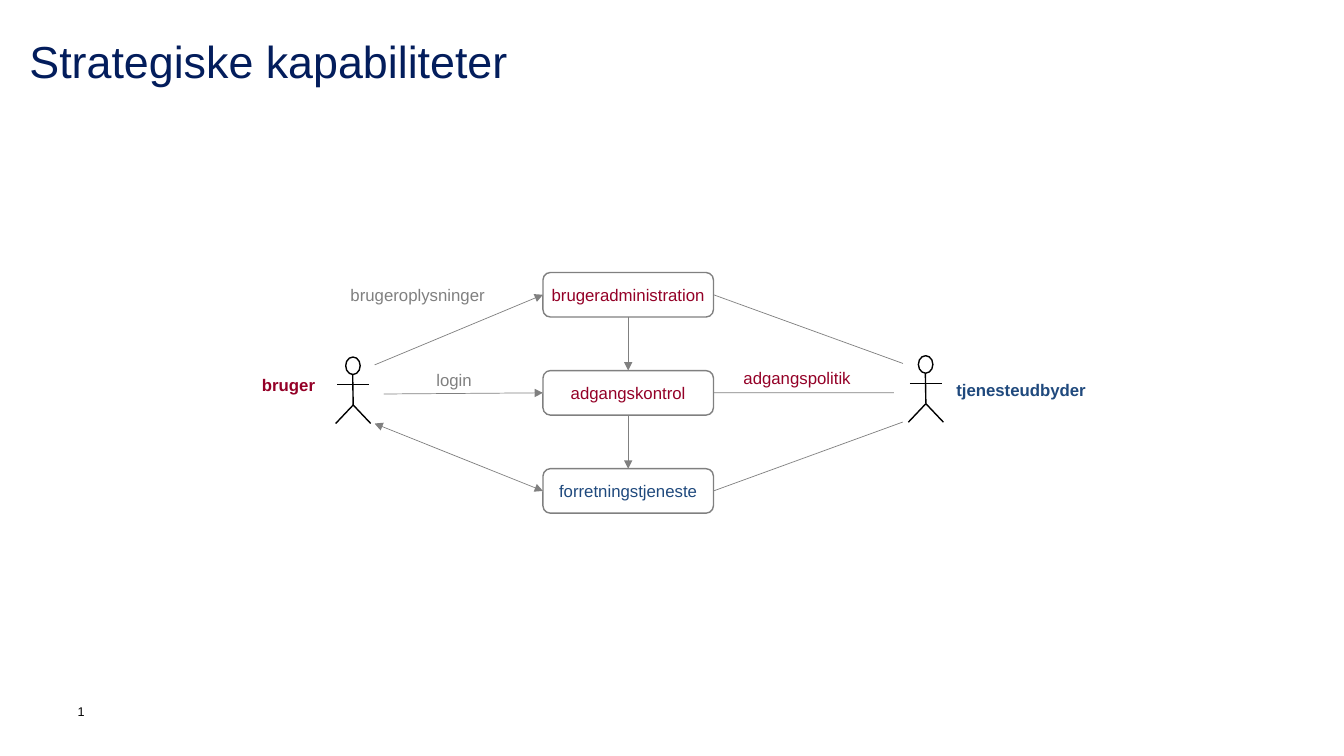
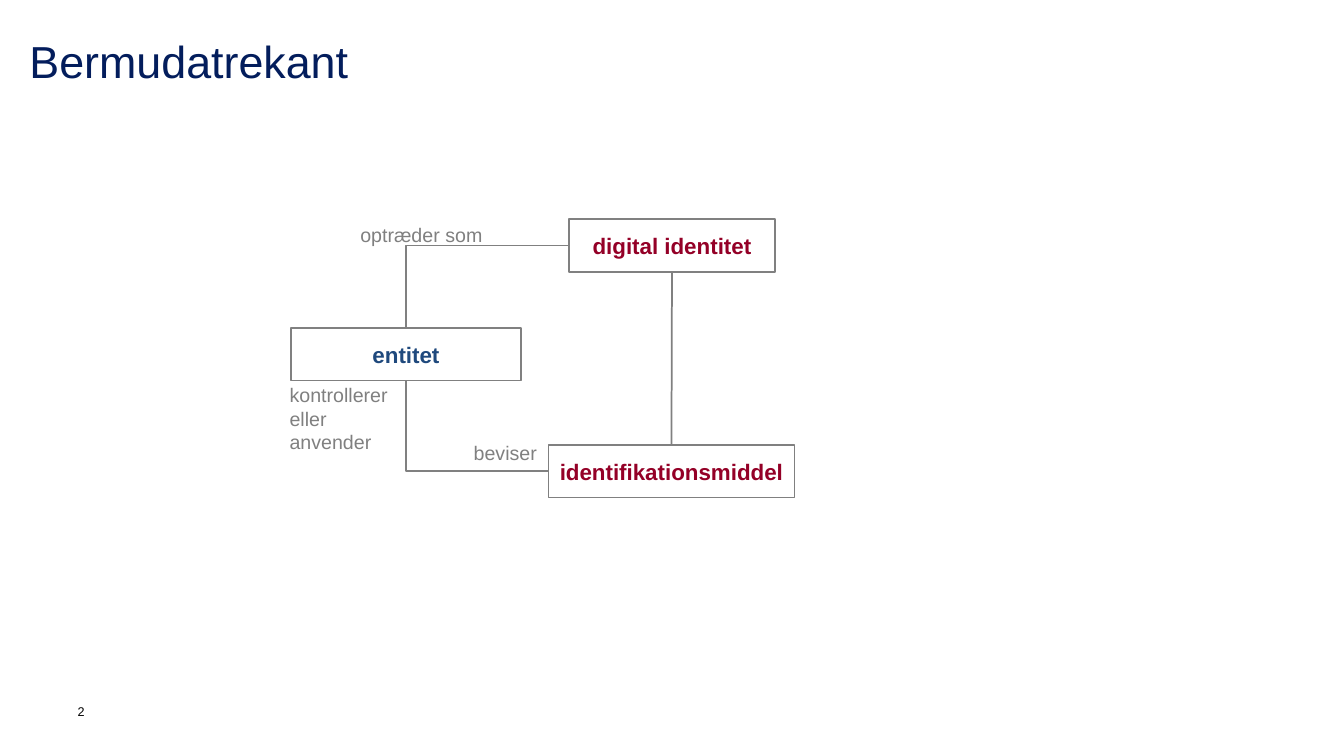
from lxml import etree
from pptx import Presentation
from pptx.dml.color import RGBColor
from pptx.enum.shapes import MSO_CONNECTOR, MSO_SHAPE
from pptx.enum.text import MSO_ANCHOR, PP_ALIGN
from pptx.oxml.ns import qn
from pptx.util import Emu, Pt

STRAIGHT, ELBOW = MSO_CONNECTOR.STRAIGHT, MSO_CONNECTOR.ELBOW
RECTANGLE, ROUNDED, OVAL = MSO_SHAPE.RECTANGLE, MSO_SHAPE.ROUNDED_RECTANGLE, MSO_SHAPE.OVAL
LEFT_ALIGN, CENTER = PP_ALIGN.LEFT, PP_ALIGN.CENTER
TOP_ANCHOR, MIDDLE = MSO_ANCHOR.TOP, MSO_ANCHOR.MIDDLE

# Connection sites of a rectangle
TOP, LEFT, BOTTOM, RIGHT = range(4)

EMU_PER_PIXEL = 914400 / 100.8
FONT = "Arial"
NAVY, BLUE, RED = "031D5C", "1F497D", "940027"
GREY, BLACK, WHITE = "808080", "000000", "FFFFFF"


def px(*pixels):
    """Turn pixel lengths into a list of EMU lengths."""
    return [Emu(round(pixel * EMU_PER_PIXEL)) for pixel in pixels]


def color(value):
    """Turn a hex string into a colour."""
    return RGBColor.from_string(value)


def write(frame, lines, size, ink, bold=False, align=LEFT_ALIGN, anchor=TOP_ANCHOR,
          wrap=False, spacing=None):
    """Fill a text frame without insets, one paragraph per line."""
    frame.margin_left = frame.margin_right = frame.margin_top = frame.margin_bottom = 0
    frame.word_wrap = wrap
    frame.vertical_anchor = anchor
    for index, line_text in enumerate(lines):
        para = frame.add_paragraph() if index else frame.paragraphs[0]
        para.alignment = align
        para.line_spacing = spacing
        span = para.add_run()
        span.text = line_text
        span.font.name = FONT
        span.font.size = Pt(size)
        span.font.bold = bold
        span.font.color.rgb = color(ink)


def add_label(page, place, lines, size, ink, **style):
    """Add a text box at (left, top, width, height)."""
    box = page.shapes.add_textbox(*px(*place))
    write(box.text_frame, lines, size, ink, **style)


def add_preset(shapes, preset, place, stroke=None, width=1, fill=None):
    """Add a preset shape; without a stroke or a fill that part stays empty."""
    shape = shapes.add_shape(preset, *px(*place))
    shape.shadow.inherit = False
    if stroke:
        shape.line.color.rgb = color(stroke)
        shape.line.width = Pt(width)
    else:
        shape.line.fill.background()
    if fill:
        shape.fill.solid()
        shape.fill.fore_color.rgb = color(fill)
    else:
        shape.fill.background()
    return shape


def add_concept(page, preset, place, name, ink, size, width, fill=None, bold=False):
    """Add a grey-lined box with its name in the middle."""
    box = add_preset(page.shapes, preset, place, GREY, width, fill)
    write(box.text_frame, [name], size, ink, bold, CENTER, MIDDLE)
    return box


def add_line(shapes, start, end, stroke, width, arrows=(), kind=STRAIGHT):
    """Add a connector; arrows names the ends (headEnd, tailEnd) that get a triangle."""
    line = shapes.add_connector(kind, *px(*start, *end))
    line.line.color.rgb = color(stroke)
    line.line.width = Pt(width)
    for arrow in arrows:
        etree.SubElement(line.line._get_or_add_ln(), qn("a:" + arrow), type="triangle")
    etree.SubElement(line._element.spPr, qn("a:effectLst"))
    return line


def add_link(page, first, first_side, second, second_side, width, arrows=(), kind=STRAIGHT):
    """Join two boxes; an elbow link has a single corner."""
    link = add_line(page.shapes, (0, 0), (0, 0), GREY, width, arrows, kind)
    link.begin_connect(first, first_side)
    link.end_connect(second, second_side)
    if kind == ELBOW:
        link._element.spPr.find(qn("a:prstGeom")).set("prst", "bentConnector2")


def add_actor(page, center, top):
    """Add a grouped stick figure on a white oval."""
    shapes = page.shapes.add_group_shape().shapes
    add_preset(shapes, OVAL, (center - 31, top - 4, 62, 83), fill=WHITE)
    add_preset(shapes, OVAL, (center - 7, top, 14.5, 17.5), BLACK)
    neck, hip = (center, top + 17.5), (center + 0.5, top + 48)
    arms = (center - 15.5, top + 27.5), (center + 16.5, top + 27.5)
    feet = [(center + step, top + 66.5) for step in (-17, 18)]
    for start, end in (arms, (neck, hip), (hip, feet[0]), (hip, feet[1])):
        add_line(shapes, start, end, BLACK, 1)


def add_page(deck, title):
    """Add a slide with its title and page number."""
    page = deck.slides.add_slide(deck.slide_layouts[6])
    add_label(page, (29.5, 40, 1123, 52), [title], 32, NAVY, wrap=True, spacing=0.9)
    add_label(page, (77.5, 704, 31, 39), [str(len(deck.slides))], 9, BLACK, wrap=True)
    return page


def build_capabilities(deck):
    """Build the slide with user, services and service provider."""
    page = add_page(deck, "Strategiske kapabiliteter")
    services = [("brugeradministration", RED), ("adgangskontrol", RED),
                ("forretningstjeneste", BLUE)]
    boxes = [add_concept(page, ROUNDED, (543, 272.5 + 98.1 * row, 170.5, 44.5),
                         name, ink, 12, 1, WHITE)
             for row, (name, ink) in enumerate(services)]
    for upper, lower in zip(boxes, boxes[1:]):
        add_link(page, upper, BOTTOM, lower, TOP, 0.5, ["tailEnd"])

    spokes = [((374.5, 365), (903, 363.5), ["tailEnd"]),
              ((383.5, 394), (894, 392.8), ["tailEnd"]),
              ((374.5, 423.5), (903, 422), ["headEnd", "tailEnd"])]
    for box, (user, provider, arrows) in zip(boxes, spokes):
        add_line(page.shapes, user, user, GREY, 0.5, arrows).end_connect(box, LEFT)
        add_line(page.shapes, provider, provider, GREY, 0.5).end_connect(box, RIGHT)

    add_actor(page, 352.7, 357)
    add_actor(page, 925.4, 355.7)
    labels = [(350.5, 285, 137, "brugeroplysninger", GREY, False),
              (436.3, 369.7, 36, "login", GREY, False),
              (743.5, 368, 110, "adgangspolitik", RED, False),
              (262, 375, 55, "bruger", RED, True),
              (956.3, 380, 131, "tjenesteudbyder", BLUE, True)]
    for left, top, width, name, ink, bold in labels:
        add_label(page, (left, top, width, 20), [name], 12, ink, bold=bold)


def build_triangle(deck):
    """Build the slide with entity, identity and means of identification."""
    page = add_page(deck, "Bermudatrekant")
    concepts = [((291, 328, 230, 52.5), "entitet", BLUE),
                ((569, 219.2, 206, 52.5), "digital identitet", RED),
                ((548.5, 445, 246, 52.5), "identifikationsmiddel", RED)]
    entity, identity, means = [
        add_concept(page, RECTANGLE, place, name, ink, 16, 1.25, bold=True)
        for place, name, ink in concepts]
    add_link(page, identity, LEFT, entity, TOP, 1.25, kind=ELBOW)
    add_link(page, means, LEFT, entity, BOTTOM, 1.25, kind=ELBOW)
    add_link(page, identity, BOTTOM, means, TOP, 1.25)

    labels = [((360.3, 223, 127, 24), ["optræder som"]),
              ((289.6, 383, 102, 71), ["kontrollerer", "eller", "anvender"]),
              ((473.7, 441, 66, 24), ["beviser"])]
    for place, lines in labels:
        add_label(page, place, lines, 14, GREY)


def main():
    """Build and save the deck."""
    deck = Presentation()
    deck.slide_width, deck.slide_height = px(1344, 756)
    build_capabilities(deck)
    build_triangle(deck)
    deck.save("out.pptx")


main()
